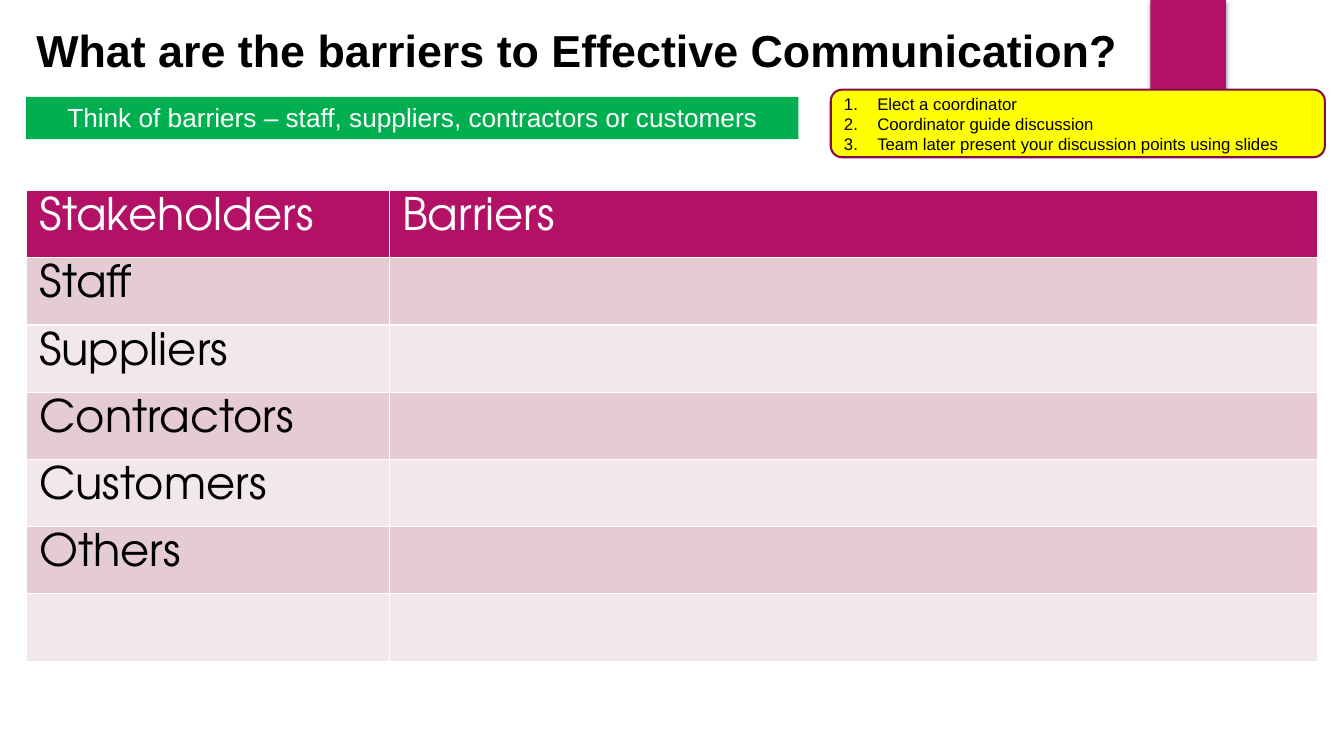
from pptx import Presentation
from pptx.dml.color import RGBColor
from pptx.enum.shapes import MSO_SHAPE as Shape
from pptx.enum.text import MSO_ANCHOR as Anchor, PP_ALIGN as Align
from pptx.oxml import parse_xml
from pptx.oxml.ns import nsdecls
from pptx.util import Inches, Pt

COLORS = {
    "accent": "B31166", "outline": "840D4B", "green": "00B050",
    "yellow": "FFFF00", "dark_band": "E5CCD3", "light_band": "F2E7EA",
    "black": "000000", "white": "FFFFFF",
}
STAKEHOLDERS = ["Staff", "Suppliers", "Contractors", "Customers", "Others", ""]
STEPS = [
    "Elect a coordinator",
    "Coordinator guide discussion",
    "Team later present your discussion points using slides",
]


def color(name):
    """Return the named colour."""
    return RGBColor.from_string(COLORS[name])


def set_font(paragraph, size, color_name, name="Arial", bold=False):
    """Format the font of a whole paragraph."""
    font = paragraph.font
    font.name, font.size, font.bold = name, Pt(size), bold
    font.color.rgb = color(color_name)


def add_block(slide, kind, box, fill):
    """Add a filled shape without line or shadow."""
    shape = slide.shapes.add_shape(kind, *map(Inches, box))
    shape.shadow.inherit = False
    shape.fill.solid()
    shape.fill.fore_color.rgb = color(fill)
    shape.line.fill.background()
    return shape


def add_ribbon(slide, box):
    """Add the hanging ribbon with its soft shadow."""
    ribbon = add_block(slide, Shape.RECTANGLE, box, "accent")
    effects = ribbon._element.spPr.find("{*}effectLst")
    effects.append(parse_xml(
        f'<a:outerShdw {nsdecls("a")} blurRad="{Pt(3)}" dist="{Pt(2)}" '
        f'dir="5400000" rotWithShape="0"><a:srgbClr val="{COLORS["black"]}">'
        '<a:alpha val="45000"/></a:srgbClr></a:outerShdw>'))


def add_title(slide, box):
    """Place the slide title on one line."""
    title = slide.shapes.title
    title.left, title.top, title.width, title.height = map(Inches, box)
    frame = title.text_frame
    frame.text = "What are the barriers to Effective Communication?"
    frame.word_wrap = False
    frame.vertical_anchor = Anchor.TOP
    paragraph = frame.paragraphs[0]
    paragraph.alignment = Align.LEFT
    set_font(paragraph, 32, "black", bold=True)


def add_prompt(slide, box):
    """Add the green discussion prompt."""
    frame = add_block(slide, Shape.RECTANGLE, box, "green").text_frame
    frame.text = "Think of barriers – staff, suppliers, contractors or customers"
    frame.vertical_anchor = Anchor.TOP
    paragraph = frame.paragraphs[0]
    paragraph.alignment = Align.CENTER
    set_font(paragraph, 18.7, "white")


def set_borders(cell):
    """Draw a thin white line on every side of a cell."""
    properties = cell._tc.get_or_add_tcPr()
    for index, side in enumerate("LRTB"):
        properties.insert(index, parse_xml(
            f'<a:ln{side} {nsdecls("a")} w="{Pt(1)}"><a:solidFill>'
            f'<a:srgbClr val="{COLORS["white"]}"/></a:solidFill></a:ln{side}>'))


def add_barrier_table(slide, box, column_widths):
    """Add the banded table of stakeholders and barriers."""
    rows = [("Stakeholders", "Barriers")] + [(name, "") for name in STAKEHOLDERS]
    table = slide.shapes.add_table(
        len(rows), len(column_widths), *map(Inches, box)).table
    for column, width in zip(table.columns, column_widths):
        column.width = Inches(width)
    for row_index, texts in enumerate(rows):
        band = "dark_band" if row_index % 2 else "light_band"
        fill = band if row_index else "accent"
        for column_index, text in enumerate(texts):
            cell = table.cell(row_index, column_index)
            cell.text = text
            cell.margin_left = cell.margin_right = Inches(0.13)
            cell.margin_top = cell.margin_bottom = Inches(0.07)
            cell.fill.solid()
            cell.fill.fore_color.rgb = color(fill)
            set_borders(cell)
            if text:
                set_font(cell.text_frame.paragraphs[0], 32,
                         "black" if row_index else "white", "TeX Gyre Adventor")


def add_steps(slide, box):
    """Add the yellow panel with the numbered steps."""
    panel = add_block(slide, Shape.ROUNDED_RECTANGLE, box, "yellow")
    panel.line.color.rgb = color("outline")
    panel.line.width = Pt(1.5)
    frame = panel.text_frame
    frame.text = "\n".join(STEPS)
    frame.vertical_anchor = Anchor.MIDDLE
    for paragraph in frame.paragraphs:
        paragraph.alignment = Align.LEFT
        set_font(paragraph, 12, "black")
        properties = paragraph._p.get_or_add_pPr()
        properties.set("marL", str(Inches(0.33)))
        properties.set("indent", str(-Inches(0.33)))
        properties.insert(0, parse_xml(
            f'<a:buAutoNum {nsdecls("a")} type="arabicPeriod"/>'))


def main():
    """Build the slide and save it."""
    presentation = Presentation()
    presentation.slide_width = Inches(13.33)
    presentation.slide_height = Inches(7.5)
    slide = presentation.slides.add_slide(presentation.slide_layouts[5])
    add_ribbon(slide, (11.41, 0, 0.75, 1.25))
    add_title(slide, (0.26, 0.18, 11.03, 0.64))
    add_prompt(slide, (0.26, 0.96, 7.66, 0.42))
    add_barrier_table(slide, (0.26, 1.89, 12.81, 4.67), (3.6, 9.21))
    add_steps(slide, (8.24, 0.89, 4.9, 0.67))
    presentation.save("out.pptx")


if __name__ == "__main__":
    main()
